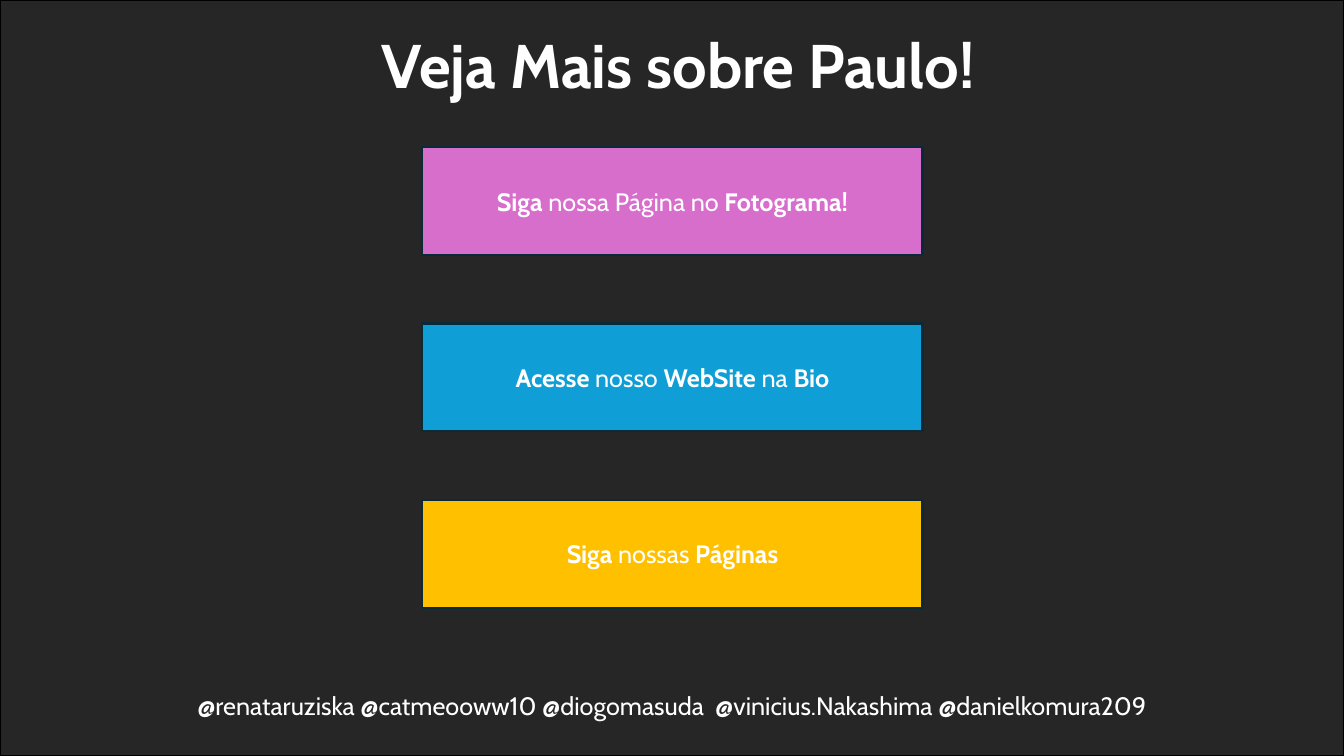
from dataclasses import dataclass

from pptx import Presentation
from pptx import util as u
from pptx.dml.color import RGBColor
from pptx.enum import shapes, text


@dataclass(frozen=True)
class Theme:
    font: str = "Cabin"
    title_size: int = 44
    body_size: int = 18
    ink: str = "FFFFFF"
    backdrop: str = "262626"
    frame: str = "000000"
    button_line: str = "092A39"
    pink: str = "D86ECC"
    blue: str = "0F9ED5"
    yellow: str = "FFC000"
    line_width: float = 1.5


THEME = Theme()
WIDTH, HEIGHT = 13.33, 7.5

# Button column: equal rows, one pitch apart
BUTTON_LEFT, BUTTON_TOP = 4.19, 1.46
BUTTON_WIDTH, BUTTON_HEIGHT = 4.96, 1.07
BUTTON_PITCH = 1.75

# Each run is (words, bold)
BUTTONS = [
    (THEME.pink, [("Siga", True), (" nossa Página no ", False), ("Fotograma!", True)]),
    (THEME.blue, [("Acesse", True), (" nosso ", False), ("WebSite", True),
                  (" na ", False), ("Bio", True)]),
    (THEME.yellow, [("Siga", True), (" nossas ", False), ("Páginas", True)]),
]
HANDLES = "@renataruziska @catmeooww10 @diogomasuda  @vinicius.Nakashima @danielkomura209"


def write_runs(box, runs, size):
    """Fill a shape with one centred paragraph, run by run."""
    box.text_frame.word_wrap = True
    para = box.text_frame.paragraphs[0]
    para.alignment = text.PP_ALIGN.CENTER
    for words, bold in runs:
        span = para.add_run()
        span.text = words
        span.font.name = THEME.font
        span.font.size = u.Pt(size)
        span.font.bold = bold
        span.font.color.rgb = RGBColor.from_string(THEME.ink)


def add_panel(page, left, top, width, height, fill, line):
    panel = page.shapes.add_shape(
        shapes.MSO_SHAPE.RECTANGLE, *map(u.Inches, (left, top, width, height)))
    panel.shadow.inherit = False
    panel.fill.solid()
    panel.fill.fore_color.rgb = RGBColor.from_string(fill)
    panel.line.color.rgb = RGBColor.from_string(line)
    panel.line.width = u.Pt(THEME.line_width)
    return panel


def add_button(page, row, fill, runs):
    button = add_panel(page, BUTTON_LEFT, BUTTON_TOP + row * BUTTON_PITCH,
                       BUTTON_WIDTH, BUTTON_HEIGHT, fill, THEME.button_line)
    button.text_frame.vertical_anchor = text.MSO_ANCHOR.MIDDLE
    write_runs(button, runs, THEME.body_size)


def add_caption(page, left, top, width, height, words, size, bold=False):
    box = page.shapes.add_textbox(*map(u.Inches, (left, top, width, height)))
    write_runs(box, [(words, bold)], size)
    box.text_frame.auto_size = text.MSO_AUTO_SIZE.SHAPE_TO_FIT_TEXT


def main():
    deck = Presentation()
    deck.slide_width, deck.slide_height = u.Inches(WIDTH), u.Inches(HEIGHT)
    page = deck.slides.add_slide(deck.slide_layouts[6])

    # Dark backdrop and title
    add_panel(page, 0, 0, WIDTH, HEIGHT, THEME.backdrop, THEME.frame)
    add_caption(page, 0.48, 0.22, 12.5, 0.84, "Veja Mais sobre Paulo!",
                THEME.title_size, bold=True)

    # Call-to-action buttons
    for row, (fill, runs) in enumerate(BUTTONS):
        add_button(page, row, fill, runs)

    # Handles along the foot
    add_caption(page, 0, 6.8, WIDTH, 0.4, HANDLES, THEME.body_size)

    deck.save("out.pptx")


if __name__ == "__main__":
    main()
